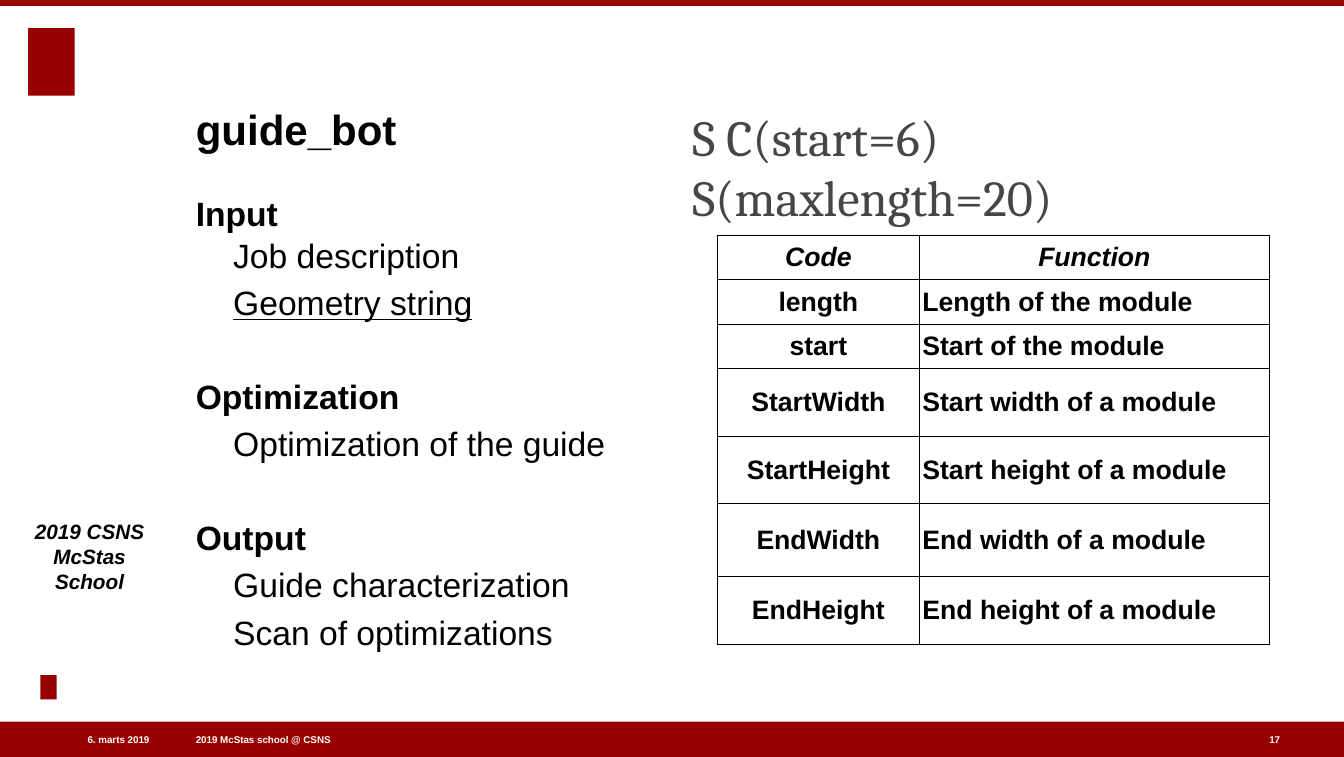
from dataclasses import dataclass

from lxml import etree
from pptx import Presentation
from pptx.dml.color import RGBColor
from pptx.enum.shapes import MSO_SHAPE
from pptx.enum.text import MSO_ANCHOR, PP_ALIGN
from pptx.oxml.ns import qn
from pptx.util import Cm, Pt

RECTANGLE = MSO_SHAPE.RECTANGLE
TOP, MIDDLE, BOTTOM = MSO_ANCHOR.TOP, MSO_ANCHOR.MIDDLE, MSO_ANCHOR.BOTTOM
LEFT, CENTER, RIGHT = PP_ALIGN.LEFT, PP_ALIGN.CENTER, PP_ALIGN.RIGHT
TITLE_ONLY = 5
SLIDE_WIDTH, SLIDE_HEIGHT = 33.83, 19.05
CELL_MARGIN = 0.08

OUTLINE = [
    ("Input", ["Job description", "Geometry string"]),
    ("Optimization", ["Optimization of the guide"]),
    ("Output", ["Guide characterization", "Scan of optimizations"]),
]
UNDERLINED = "Geometry string"
CODES = [
    ("Code", "Function"),
    ("length", "Length of the module"),
    ("start", "Start of the module"),
    ("StartWidth", "Start width of a module"),
    ("StartHeight", "Start height of a module"),
    ("EndWidth", "End width of a module"),
    ("EndHeight", "End height of a module"),
]
COLUMN_WIDTHS = [5.08, 8.81]
ROW_HEIGHTS = [1.12, 1.12, 1.12, 1.7, 1.7, 1.83, 1.7]


@dataclass(frozen=True)
class Theme:
    red: str = "990000"
    black: str = "000000"
    white: str = "FFFFFF"
    gray: str = "464646"
    sans: str = "Arial"
    serif: str = "Cambria"
    title: float = 30
    body: float = 24
    formula: float = 36
    table: float = 19
    side: float = 14.8
    footer: float = 7


class SlideBuilder:
    """Draws styled elements on one slide."""

    def __init__(self, slide, theme):
        self.slide = slide
        self.theme = theme

    def style(self, paragraph, size, color=None, bold=True, italic=False,
              name=None, align=LEFT):
        paragraph.alignment = align
        font = paragraph.font
        font.name = name or self.theme.sans
        font.size = Pt(size)
        font.bold = bold
        font.italic = italic
        font.color.rgb = RGBColor.from_string(color or self.theme.black)

    def frame(self, shape, anchor, margin=0):
        frame = shape.text_frame
        frame.word_wrap = True
        frame.vertical_anchor = anchor
        frame.margin_left = frame.margin_right = Cm(margin)
        frame.margin_top = frame.margin_bottom = Cm(margin)
        return frame

    def title(self, text, box):
        shape = self.slide.shapes.title
        shape.left, shape.top, shape.width, shape.height = map(Cm, box)
        frame = self.frame(shape, BOTTOM)
        frame.text = text
        self.style(frame.paragraphs[0], self.theme.title)

    def block(self, box):
        shape = self.slide.shapes.add_shape(RECTANGLE, *map(Cm, box))
        shape.shadow.inherit = False
        shape.fill.solid()
        shape.fill.fore_color.rgb = RGBColor.from_string(self.theme.red)
        shape.line.fill.background()

    def text(self, text, box, size, anchor=MIDDLE, margin=0, **style):
        shape = self.slide.shapes.add_textbox(*map(Cm, box))
        frame = self.frame(shape, anchor, margin)
        frame.text = text
        self.style(frame.paragraphs[0], size, **style)

    def outline(self, sections, box):
        frame = self.frame(self.slide.shapes.add_textbox(*map(Cm, box)), TOP)
        paragraph = frame.paragraphs[0]
        for section, (heading, items) in enumerate(sections):
            for position, line in enumerate([heading, *items]):
                if section or position:
                    paragraph = frame.add_paragraph()
                    paragraph.space_before = Pt(4.3 if position else 37)
                if section == 0 and position == 1:
                    paragraph.space_before = Pt(0)
                if position:
                    paragraph._p.get_or_add_pPr().set("marL", str(Cm(0.94)))
                paragraph.line_spacing = 1.03
                paragraph.text = line
                self.style(paragraph, self.theme.body, bold=position == 0)
                if line == UNDERLINED:
                    paragraph.font.underline = True

    def table(self, rows, left, top):
        shape = self.slide.shapes.add_table(
            len(rows), len(COLUMN_WIDTHS), Cm(left), Cm(top),
            Cm(sum(COLUMN_WIDTHS)), Cm(sum(ROW_HEIGHTS)))
        table = shape.table
        for column, width in zip(table.columns, COLUMN_WIDTHS):
            column.width = Cm(width)
        for row, height in zip(table.rows, ROW_HEIGHTS):
            row.height = Cm(height)
        for row_index, row in enumerate(rows):
            for column_index, text in enumerate(row):
                cell = table.cell(row_index, column_index)
                header = row_index == 0
                centered = header or column_index == 0
                cell.text = text
                cell.vertical_anchor = MIDDLE
                cell.margin_left = cell.margin_right = Cm(CELL_MARGIN)
                cell.margin_top = cell.margin_bottom = Cm(CELL_MARGIN)
                self.style(cell.text_frame.paragraphs[0], self.theme.table,
                           italic=header, align=CENTER if centered else LEFT)
                self.borders(cell)
                cell.fill.background()

    def borders(self, cell):
        properties = cell._tc.get_or_add_tcPr()
        for side in ("a:lnL", "a:lnR", "a:lnT", "a:lnB"):
            line = etree.SubElement(properties, qn(side), w=str(Pt(1)))
            fill = etree.SubElement(line, qn("a:solidFill"))
            etree.SubElement(fill, qn("a:srgbClr"), val=self.theme.black)


def main():
    presentation = Presentation()
    presentation.slide_width = Cm(SLIDE_WIDTH)
    presentation.slide_height = Cm(SLIDE_HEIGHT)
    slide = presentation.slides.add_slide(
        presentation.slide_layouts[TITLE_ONLY])
    theme = Theme()
    builder = SlideBuilder(slide, theme)

    large_mark, small_mark = (0.71, 0.71, 1.17, 1.7), (1.02, 16.99, 0.41, 0.61)
    top_band = (0, 0, SLIDE_WIDTH, 0.15)
    footer_band = (0, 18.16, SLIDE_WIDTH, 0.89)
    for box in (large_mark, footer_band, top_band, small_mark):
        builder.block(box)

    footers = [
        ("2019 McStas school @ CSNS", 4.93, 9.45, LEFT),
        ("6. marts 2019", 0.69, 3.07, RIGHT),
        ("17", 31.95, 0.36, LEFT),
    ]
    for text, left, width, align in footers:
        builder.text(text, (left, 18.44, width, 0.36), theme.footer,
                     color=theme.white, align=align)

    builder.text("2019 CSNS\vMcStas School", (0.86, 12.93, 2.79, 2.01),
                 theme.side, anchor=BOTTOM, italic=True, align=CENTER)
    builder.title("guide_bot", (4.93, 1.19, 25.86, 2.69))
    builder.outline(OUTLINE, (4.93, 4.83, 11.89, 12.62))
    builder.table(CODES, 18.06, 5.92)
    builder.text("S C(start=6) S(maxlength=20)", (17.35, 3.35, 15.27, 1.68),
                 theme.formula, margin=CELL_MARGIN, color=theme.gray,
                 bold=False, name=theme.serif)
    presentation.save("out.pptx")


if __name__ == "__main__":
    main()
